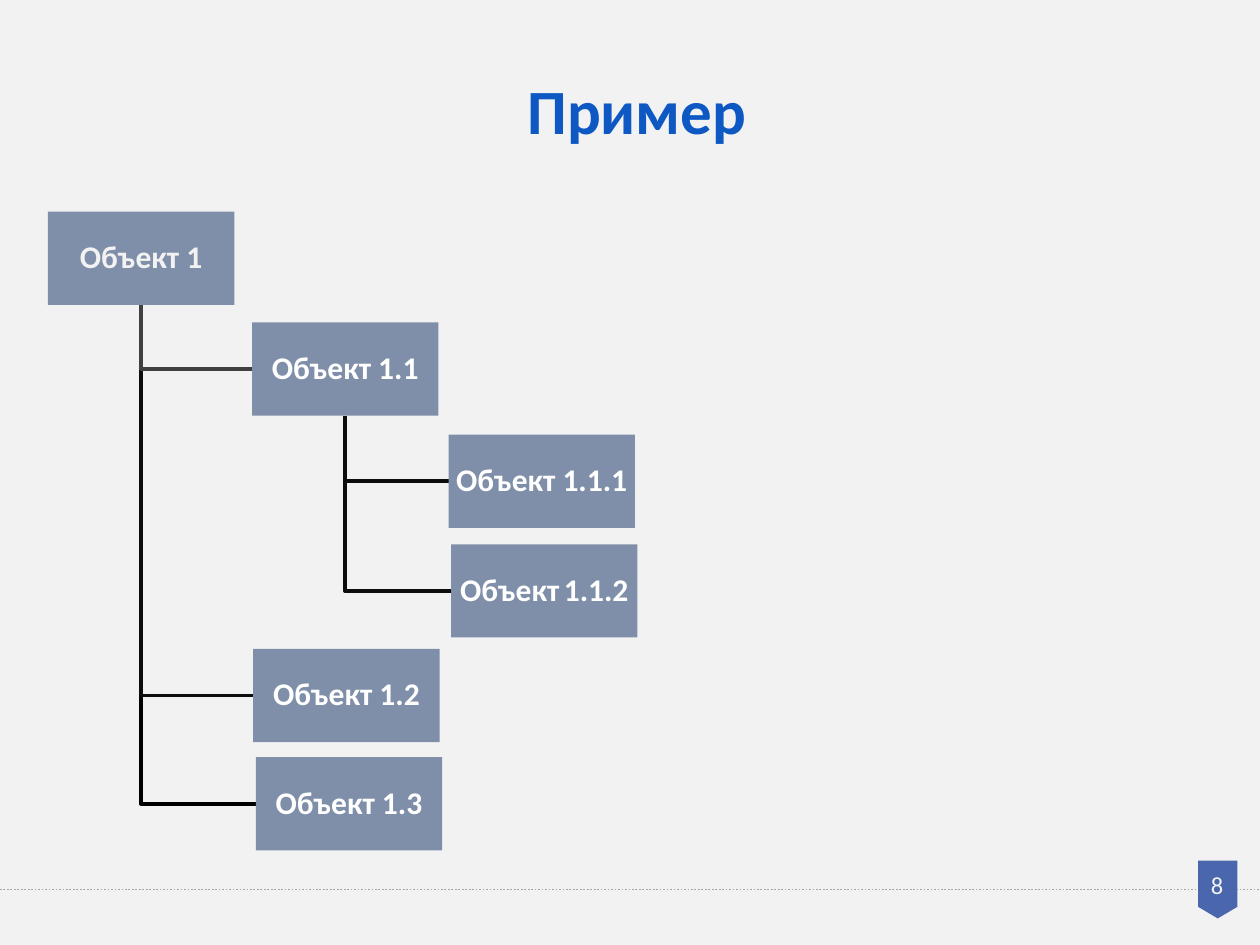
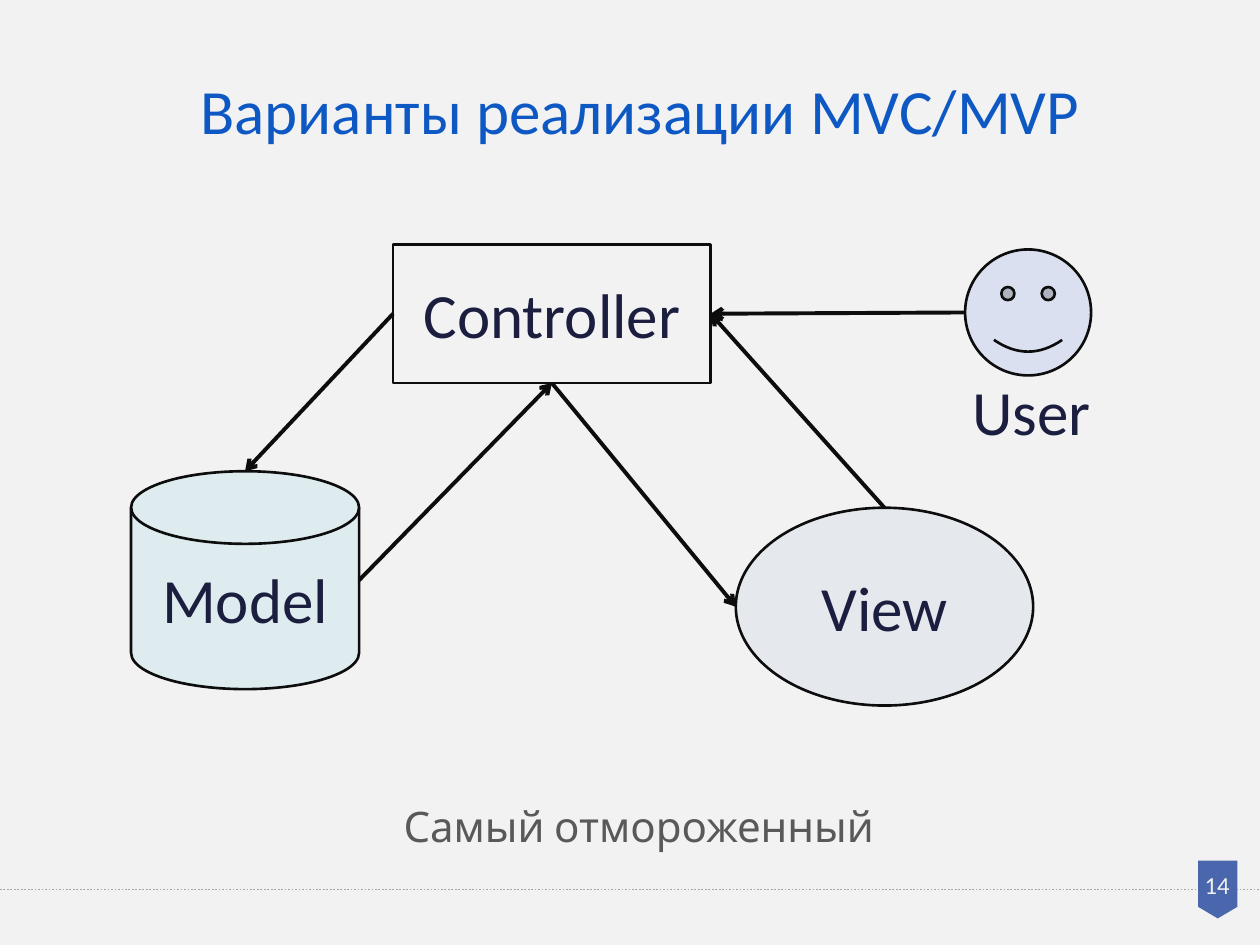
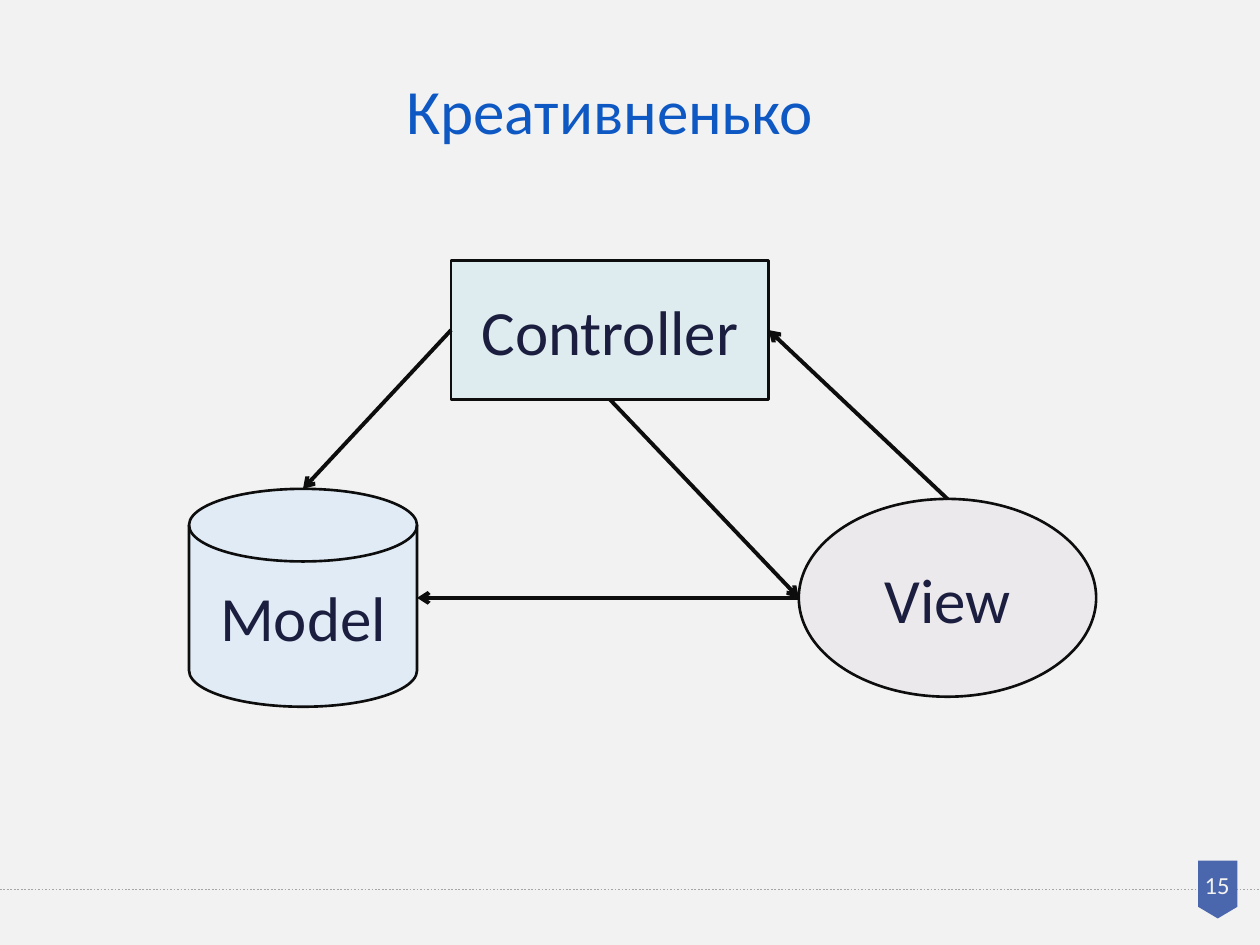
from dataclasses import dataclass
from typing import NamedTuple

from lxml import etree
from pptx import Presentation
from pptx.dml.color import RGBColor
from pptx.enum.dml import MSO_LINE_DASH_STYLE as Dash
from pptx.enum.shapes import MSO_CONNECTOR, MSO_SHAPE
from pptx.enum.text import MSO_ANCHOR, MSO_AUTO_SIZE, PP_ALIGN
from pptx.oxml.ns import qn
from pptx.shapes.autoshape import Shape
from pptx.shapes.connector import Connector
from pptx.slide import Slide
from pptx.text.text import TextFrame
from pptx.util import Inches, Pt

COLORS = {
    "background": "F2F2F2", "title": "0E58C4", "caption": "595959",
    "footer_line": "A6A6A6", "badge": "4A66AC", "badge_text": "F2F2F2",
    "box": "7F8FA9", "root_text": "F2F2F2", "box_text": "FFFFFF",
    "outline": "0D0D0D", "root_link": "404040", "last_link": "000000",
    "diagram_text": "1B1E3E", "plain": "F2F2F2", "teal": "DEECEF",
    "gray": "E5E9EE", "lilac": "DAE0EF", "blue": "E0EBF6", "rose": "EBE9EC",
}
TITLE_FORMAT = {"name": "Calibri", "size": Pt(36), "bold": False}
BOLD_TITLE_FORMAT = {**TITLE_FORMAT, "bold": True}
DIAGRAM_FORMAT = {"name": "Calibri", "size": Pt(36)}
BOX_FORMAT = {"name": "Calibri", "size": Pt(18), "bold": True}
NUMBER_FORMAT = {"name": "Calibri", "size": Pt(14)}
CAPTION_FORMAT = {"name": "Cabin", "size": Pt(24)}


class Rect(NamedTuple):
    left: float
    top: float
    width: float
    height: float

    def side(self, name: str) -> tuple[Inches, Inches]:
        """Return the middle of the named side."""
        across, down = {"top": (0.5, 0), "left": (0, 0.5),
                        "bottom": (0.5, 1), "right": (1, 0.5)}[name]
        return (Inches(self.left + across * self.width),
                Inches(self.top + down * self.height))

    def inches(self) -> list[Inches]:
        return [Inches(value) for value in self]


@dataclass(frozen=True)
class TreeNode:
    label: str
    left: float
    top: float
    parent: str = ""
    link_color: str = "outline"
    link_width: float = 2.25
    text_color: str = "box_text"
    space_size: float = 18

    @property
    def rect(self) -> Rect:
        return Rect(self.left, self.top, 1.48, 0.74)


@dataclass(frozen=True)
class Part:
    label: str
    kind: MSO_SHAPE
    rect: Rect
    fill: str


class Arrow(NamedTuple):
    source: str
    source_side: str
    target: str
    target_side: str


TREE = [
    TreeNode("Объект 1", 0.38, 1.68, text_color="root_text"),
    TreeNode("Объект 1.1", 2, 2.56, "Объект 1", "root_link", 2),
    TreeNode("Объект 1.1.1", 3.56, 3.45, "Объект 1.1"),
    TreeNode("Объект 1.1.2", 3.58, 4.32, "Объект 1.1", space_size=11),
    TreeNode("Объект 1.2", 2.01, 5.15, "Объект 1", link_width=2),
    TreeNode("Объект 1.3", 2.03, 6.01, "Объект 1", "last_link"),
]


def rgb(name: str) -> RGBColor:
    return RGBColor.from_string(COLORS[name])


def apply_font(item, formats: dict, color: str) -> None:
    for name, value in formats.items():
        setattr(item.font, name, value)
    item.font.color.rgb = rgb(color)


def write_text(frame: TextFrame, text: str, formats: dict, color: str,
               anchor=MSO_ANCHOR.TOP, align=PP_ALIGN.CENTER,
               spacing: float = 1.0) -> None:
    settings = {"word_wrap": True, "auto_size": MSO_AUTO_SIZE.NONE,
                "vertical_anchor": anchor}
    for name, value in settings.items():
        setattr(frame, name, value)
    paragraph = frame.paragraphs[0]
    paragraph.alignment = align
    paragraph.line_spacing = spacing
    paragraph.space_before = Pt(0)
    run = paragraph.add_run()
    run.text = text
    apply_font(run, formats, color)


def add_text(slide: Slide, rect: Rect, *text_options, **layout) -> None:
    write_text(slide.shapes.add_textbox(*rect.inches()).text_frame,
               *text_options, **layout)


def style_line(item, color: str, width: float) -> None:
    item.line.color.rgb = rgb(color)
    item.line.width = Pt(width)


def add_filled(slide: Slide, kind: MSO_SHAPE, rect: Rect, fill: str) -> Shape:
    """Add a flat shape without outline."""
    shape = slide.shapes.add_shape(kind, *rect.inches())
    shape.shadow.inherit = False
    shape.fill.solid()
    shape.fill.fore_color.rgb = rgb(fill)
    shape.line.fill.background()
    return shape


def add_line(slide: Slide, start: tuple[Inches, Inches], end: tuple[Inches, Inches],
             color: str, width: float) -> Connector:
    connector = slide.shapes.add_connector(MSO_CONNECTOR.STRAIGHT, *start, *end)
    style_line(connector, color, width)
    etree.SubElement(connector._element.spPr, qn("a:effectLst"))
    return connector


def add_slide(presentation: Presentation, number: int, title: str, rect: Rect,
              title_format: dict = TITLE_FORMAT) -> Slide:
    """Add a slide with its title, footer line and number badge."""
    slide = presentation.slides.add_slide(presentation.slide_layouts[5])
    footer = Rect(0, 7.06, 10, 0)
    footer_line = add_line(slide, footer.side("left"), footer.side("right"),
                           "footer_line", 1)
    footer_line.line.dash_style = Dash.ROUND_DOT
    add_filled(slide, MSO_SHAPE.FLOWCHART_OFFPAGE_CONNECTOR,
               Rect(9.51, 6.83, 0.31, 0.46), "badge")
    add_text(slide, Rect(9.44, 6.88, 0.44, 0.31), str(number), NUMBER_FORMAT,
             "badge_text", spacing=0.9)
    placeholder = slide.shapes.title
    for name, value in zip(Rect._fields, rect.inches()):
        setattr(placeholder, name, value)
    write_text(placeholder.text_frame, title, title_format, "title", spacing=1.5)
    return slide


def add_elbow(slide: Slide, parent: TreeNode, child: TreeNode) -> None:
    start, end = parent.rect.side("bottom"), child.rect.side("left")
    builder = slide.shapes.build_freeform(*start)
    builder.add_line_segments([(start[0], end[1]), end], close=False)
    elbow = builder.convert_to_shape()
    elbow.shadow.inherit = False
    elbow.fill.background()
    style_line(elbow, child.link_color, child.link_width)


def add_tree(slide: Slide, nodes: list[TreeNode]) -> None:
    by_label = {node.label: node for node in nodes}
    for node in reversed(nodes):
        if node.parent:
            add_elbow(slide, by_label[node.parent], node)
    for node in nodes:
        frame = add_filled(slide, MSO_SHAPE.RECTANGLE, node.rect, "box").text_frame
        for edge in ("left", "top", "right", "bottom"):
            setattr(frame, f"margin_{edge}", Inches(0.01))
        word, index = node.label.split()
        write_text(frame, word, BOX_FORMAT, node.text_color,
                   anchor=MSO_ANCHOR.MIDDLE, spacing=0.9)
        for text, size in ((" ", node.space_size), (index, 18)):
            run = frame.paragraphs[0].add_run()
            run.text = text
            apply_font(run, {**BOX_FORMAT, "size": Pt(size)}, node.text_color)


def add_diagram(slide: Slide, parts: list[Part], arrows: list[Arrow]) -> None:
    for part in parts:
        shape = add_filled(slide, part.kind, part.rect, part.fill)
        style_line(shape, "outline", 1.5)
        if part.kind != MSO_SHAPE.SMILEY_FACE:
            write_text(shape.text_frame, part.label, DIAGRAM_FORMAT,
                       "diagram_text", anchor=MSO_ANCHOR.MIDDLE)
    rects = {part.label: part.rect for part in parts}
    for arrow in arrows:
        connector = add_line(slide, rects[arrow.source].side(arrow.source_side),
                             rects[arrow.target].side(arrow.target_side), "outline", 2.25)
        etree.SubElement(connector.line._get_or_add_ln(), qn("a:tailEnd"), type="arrow")


def mvc_parts(model: tuple, view: tuple, controller: tuple) -> list[Part]:
    """Build the three parts from (left, top, fill) tuples."""
    looks = [
        ("Model", MSO_SHAPE.FLOWCHART_MAGNETIC_DISK, 1.81, 1.73, model),
        ("View", MSO_SHAPE.OVAL, 2.36, 1.57, view),
        ("Controller", MSO_SHAPE.RECTANGLE, 2.52, 1.1, controller),
    ]
    return [Part(label, kind, Rect(left, top, width, height), fill)
            for label, kind, width, height, (left, top, fill) in looks]


SHARED_ARROWS = [
    Arrow("View", "top", "Controller", "right"),
    Arrow("Controller", "bottom", "View", "left"),
    Arrow("Controller", "left", "Model", "top"),
]


def main() -> None:
    presentation = Presentation()
    presentation.slide_width, presentation.slide_height = Inches(10), Inches(7.5)
    background = presentation.slide_master.background.fill
    background.solid()
    background.fore_color.rgb = rgb("background")

    example = add_slide(presentation, 8, "Пример", Rect(2.58, 0.22, 4.95, 0.92),
                        BOLD_TITLE_FORMAT)
    add_tree(example, TREE)

    variants = add_slide(presentation, 14, "Варианты реализации MVC/MVP",
                         Rect(0.91, 0.22, 8.34, 1.01))
    add_text(variants, Rect(2, 6.35, 6.14, 0.4), "Самый отмороженный",
             CAPTION_FORMAT, "caption", anchor=MSO_ANCHOR.MIDDLE)
    user = Part("User", MSO_SHAPE.SMILEY_FACE, Rect(7.66, 1.98, 1, 1), "lilac")
    parts = mvc_parts((1.04, 3.74, "teal"), (5.84, 4.03, "gray"), (3.12, 1.94, "plain"))
    add_diagram(variants, [*parts, user], [
        *SHARED_ARROWS,
        Arrow("Model", "right", "Controller", "bottom"),
        Arrow("User", "left", "Controller", "right"),
    ])
    add_text(variants, Rect(7.62, 2.91, 1.33, 0.71), user.label, DIAGRAM_FORMAT,
             "diagram_text", align=PP_ALIGN.LEFT)

    creative = add_slide(presentation, 15, "Креативненько", Rect(0.67, 0.22, 8.34, 0.9))
    parts = mvc_parts((1.5, 3.88, "blue"), (6.34, 3.96, "rose"), (3.58, 2.07, "teal"))
    add_diagram(creative, parts,
                [*SHARED_ARROWS, Arrow("View", "left", "Model", "right")])

    presentation.save("out.pptx")


if __name__ == "__main__":
    main()
